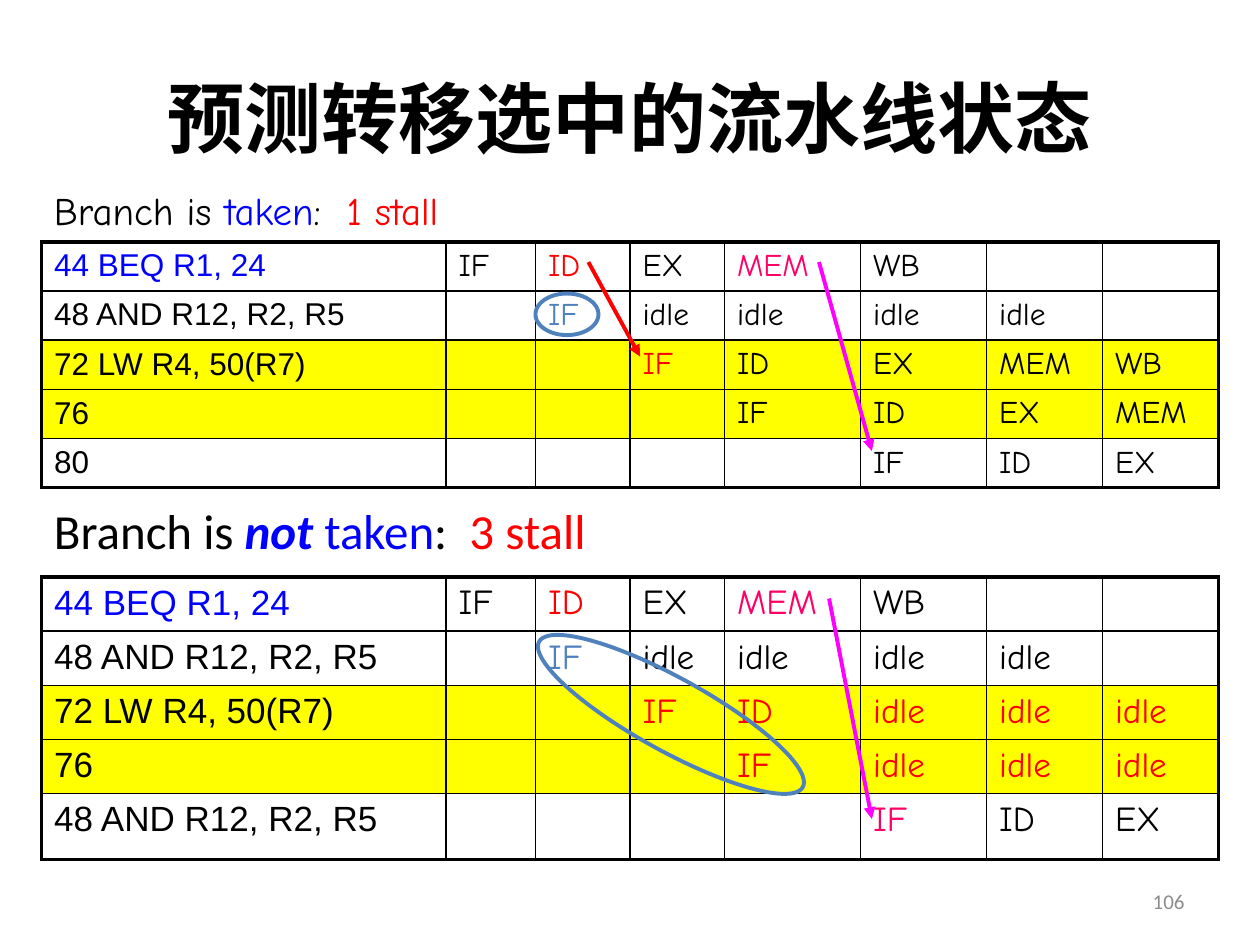
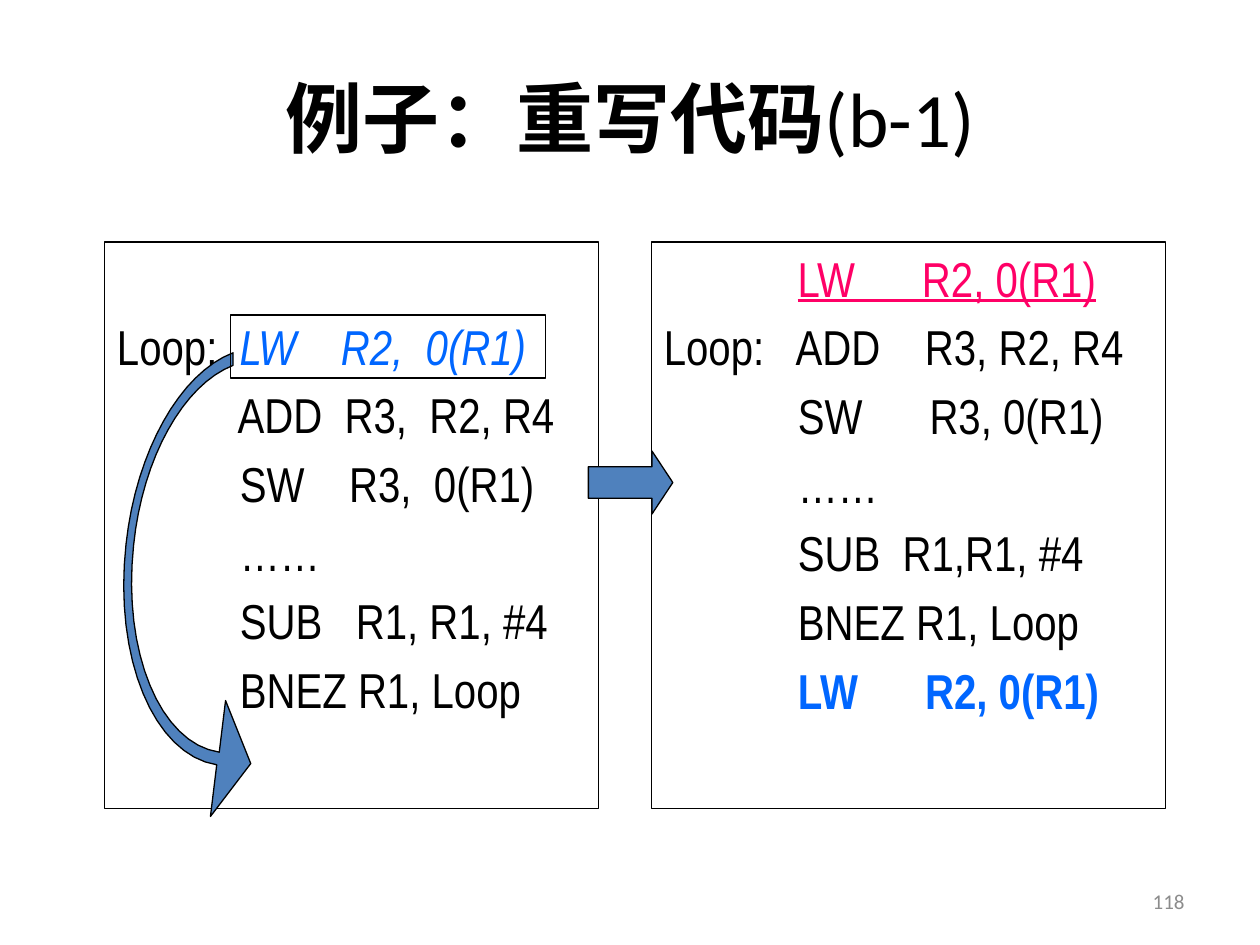
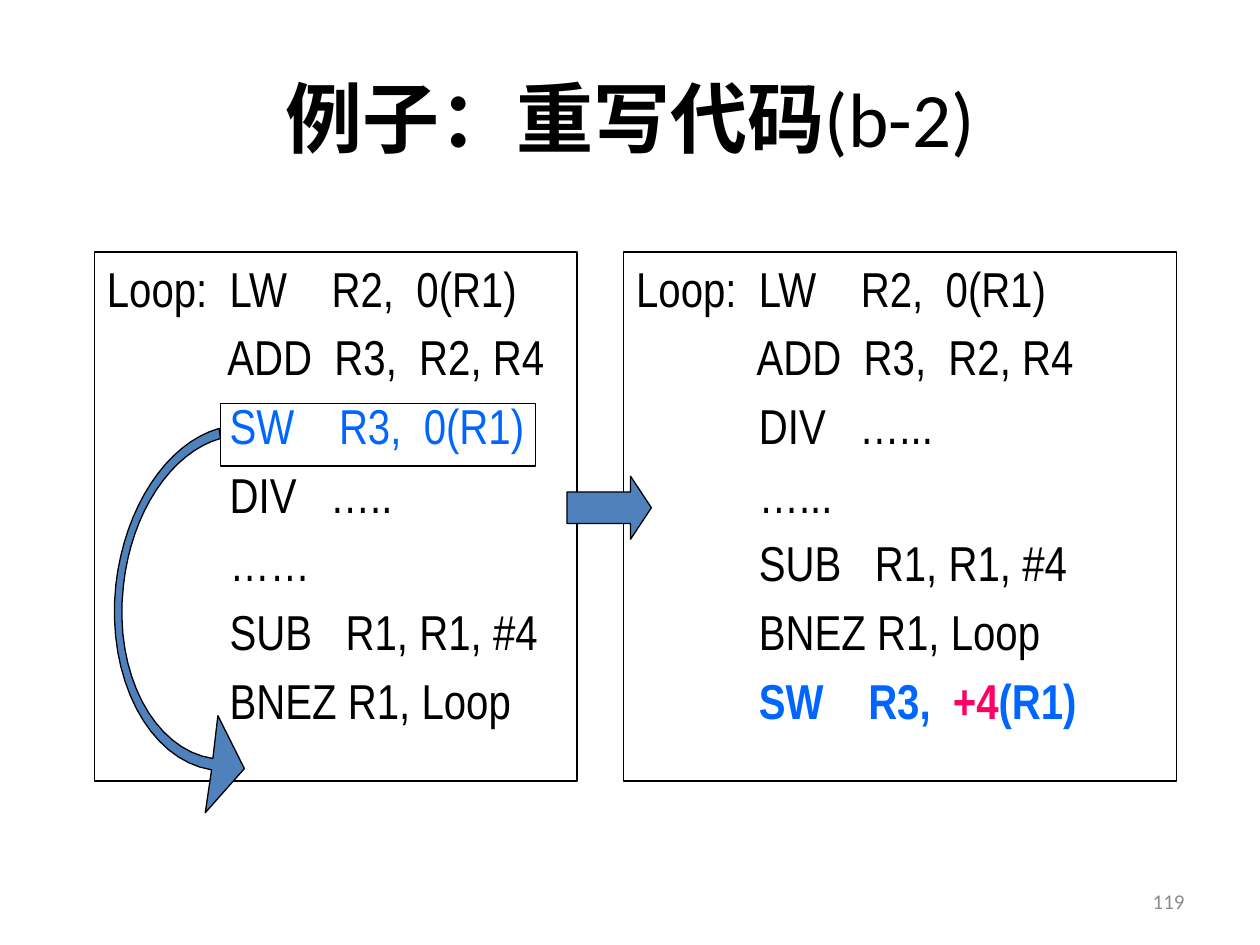
"""Build three slides on branch prediction and delay slot code."""
from dataclasses import dataclass
from lxml import etree
from pptx import Presentation
from pptx import util as u
from pptx.dml.color import RGBColor
from pptx.enum import shapes, text
from pptx.oxml.ns import qn


@dataclass(frozen=True)
class Theme:
    """Colours, fonts and type sizes."""
    black: str = "000000"
    blue: str = "0000FF"
    sky: str = "0066FF"
    steel: str = "4F81BD"
    red: str = "FF0000"
    rose: str = "FF0066"
    pink: str = "FF00FF"
    gold: str = "FFFF00"
    grey: str = "8C8C8C"
    main: str = "Calibri"
    sans: str = "Arial"
    slim: str = "Arial Narrow"
    hand: str = "Comic Neue"
    title: int = 44
    code: int = 28
    note: int = 12
    thin: float = 0.75
    grid: float = 1
    bold: float = 2.25


T = Theme()
SIZE = 10, 7.5
COLS = [3.21, 0.71, 0.75, 0.75, 1.08, 1, 0.92, 0.92]
LEFT = 0.33
WIDTH = 9.33

PIPES = [
    {"top": 1.92, "size": 18, "rows": [0.39] * 5, "data": [
        ("44 BEQ R1, 24", 1, ["IF", "ID:red", "EX", "MEM:rose", "WB"]),
        ("48 AND R12, R2, R5", 2, ["IF:steel"] + ["idle"] * 4),
        ("72 LW R4, 50(R7)", 3, ["IF:red", "ID", "EX", "MEM", "WB"]),
        ("76", 4, ["IF", "ID", "EX", "MEM"]),
        ("80", 5, ["IF", "ID", "EX"])]},
    {"top": 4.58, "size": 20, "rows": [0.43] * 4 + [0.52], "data": [
        ("44 BEQ R1, 24", 1, ["IF", "ID:red", "EX", "MEM:rose", "WB"]),
        ("48 AND R12, R2, R5", 2, ["IF:steel"] + ["idle"] * 4),
        ("72 LW R4, 50(R7)", 3, ["IF:red", "ID:red"] + ["idle:red"] * 3),
        ("76", 4, ["IF:red"] + ["idle:red"] * 3),
        ("48 AND R12, R2, R5", 5, ["IF:rose", "ID", "EX"])]},
]
HEADS = [
    ((LEFT, 1.5, WIDTH, 0.42), T.hand, 22.2, 0.8,
     [("Branch is ", "black", ""), ("taken", "blue", ""),
      (":  ", "black", ""), ("1 stall", "red", "")]),
    ((LEFT, 3.92, 6.25, 0.57), T.main, 28, 1,
     [("Branch is ", "black", ""), ("not ", "blue", "bi"),
      ("taken", "blue", ""), (":  ", "black", ""), ("3 stall", "red", "")]),
]
JUMPS = [
    ((4.67, 2.08), (5.08, 2.83), T.red),
    ((6.5, 2.08), (6.92, 3.58), T.pink),
    ((6.58, 4.75), (6.92, 6.5), T.pink),
]
RINGS = [((4.13, 5.38, 2.39, 0.58), 28.9), ((4.25, 2.33, 0.5, 0.33), 0)]

CODES = [
    {"title": "(b-1)", "page": 118, "arrow": (4.67, 3.58), "mark": (1.83, 2.5),
     "boxes": [
         ((0.83, 1.92, 3.92, 4.5), 1, [
             [("Loop:  ", "black", ""), ("LW    R2,  0(R1)", "sky", "i")],
             "           ADD  R3,  R2, R4",
             "           SW    R3,  0(R1)",
             "           ……",
             "           SUB   R1, R1, #4",
             "           BNEZ R1, Loop"]),
         ((5.17, 1.92, 4.08, 4.5), 0, [
             [("            ", "black", ""), ("LW      R2, 0(R1)", "rose", "u")],
             "Loop:   ADD    R3, R2, R4",
             "            SW      R3, 0(R1)",
             "            ……",
             "            SUB  R1,R1, #4",
             "            BNEZ R1, Loop",
             [("            LW      R2, 0(R1)", "sky", "b")]])],
     "bend": [
         [(1.74, 5.97), (1.27, 5.9), (0.97, 5.17), (1.06, 4.33)],
         [(1.06, 4.33), (1.13, 3.63), (1.46, 3.05), (1.85, 2.9)],
         [(1.85, 2.8), (1.43, 2.96), (1.08, 3.58), (1, 4.32)],
         [(1, 4.32), (0.9, 5.22), (1.22, 5.99), (1.72, 6.07)]],
     "tip": [(1.67, 6.48), (1.99, 6.06), (1.79, 5.56)]},
    {"title": "(b-2)", "page": 119, "arrow": (4.5, 3.78), "mark": (1.75, 3.2),
     "boxes": [
         ((0.75, 2, 3.83, 4.2), 0, [
             "Loop:  LW    R2,  0(R1)",
             "           ADD  R3,  R2, R4",
             [("           SW    R3,  0(R1)", "sky", "")],
             "           DIV   …..",
             "           ……",
             "           SUB   R1, R1, #4",
             "           BNEZ R1, Loop"]),
         ((4.95, 2, 4.39, 4.2), 0, [
             "Loop:  LW    R2,  0(R1)",
             "           ADD  R3,  R2, R4",
             "           DIV   …...",
             "           …...",
             "           SUB   R1, R1, #4",
             "           BNEZ R1, Loop",
             [("           SW    R3,  ", "sky", "b"), ("+4", "rose", "b"),
              ("(R1)", "sky", "b")]])],
     "bend": [
         [(1.69, 6.02), (1.22, 5.95), (0.9, 5.34), (0.98, 4.65)],
         [(0.98, 4.65), (1.04, 4.07), (1.36, 3.59), (1.75, 3.48)],
         [(1.74, 3.4), (1.32, 3.52), (0.99, 4.03), (0.92, 4.64)],
         [(0.92, 4.64), (0.84, 5.38), (1.18, 6.03), (1.68, 6.11)]],
     "tip": [(1.63, 6.45), (1.94, 6.1), (1.73, 5.68)]},
]


def inch(vals):
    """Turn numbers into lengths."""
    return [u.Inches(v) for v in vals]


def rgb(code):
    """Turn a hex code into a colour."""
    return RGBColor.from_string(code)


def write(par, runs, name, size):
    """Write runs of (text, colour, style) into a paragraph."""
    par.font.name, par.font.size = name, u.Pt(size)
    tints = {tint for _, tint, _ in runs}
    if len(tints) == 1:
        par.font.color.rgb = rgb(getattr(T, runs[0][1]))
    for words, tint, style in runs:
        run = par.add_run()
        run.text = words
        if len(tints) > 1:
            run.font.color.rgb = rgb(getattr(T, tint))
        for key, attr in zip("biu", ("bold", "italic", "underline")):
            if key in style:
                setattr(run.font, attr, True)


def note(slide, area, runs, name, size):
    """Add a wrapping text box and return its frame and paragraph."""
    frame = slide.shapes.add_textbox(*inch(area)).text_frame
    frame.word_wrap = True
    par = frame.paragraphs[0]
    write(par, runs, name, size)
    return frame, par


def paint(shape, fill=None, line=T.black, width=T.thin):
    """Set fill and outline of a shape."""
    shape.shadow.inherit = False
    if fill:
        shape.fill.solid()
        shape.fill.fore_color.rgb = rgb(fill)
    else:
        shape.fill.background()
    shape.line.color.rgb = rgb(line)
    shape.line.width = u.Pt(width)
    return shape


def start(deck, runs, page):
    """Add a slide with its title and page number."""
    slide = deck.slides.add_slide(deck.slide_layouts[5])
    title = slide.shapes.title
    title.left, title.top, title.width, title.height = inch((0.5, 0.3, 9, 1.25))
    par = title.text_frame.paragraphs[0]
    par.alignment = text.PP_ALIGN.CENTER
    write(par, runs, T.main, T.title)
    frame, par = note(slide, (7.17, 6.95, 2.33, 0.4),
                      [(str(page), "grey", "")], T.main, T.note)
    frame.vertical_anchor = text.MSO_ANCHOR.MIDDLE
    par.alignment = text.PP_ALIGN.RIGHT
    return slide


def edge(cell, sides):
    """Draw cell borders; sides maps a tag to a width in points."""
    props = cell._tc.get_or_add_tcPr()
    for spot, (tag, width) in enumerate(sides.items()):
        line = etree.Element(qn("a:" + tag), w=str(u.Pt(width)))
        fill = etree.SubElement(line, qn("a:solidFill"))
        etree.SubElement(fill, qn("a:srgbClr"), val=T.black)
        props.insert(spot, line)


def pipe(slide, top, size, rows, data):
    """Add a pipeline table, each row starting at its own cycle."""
    area = inch((LEFT, top, WIDTH, sum(rows)))
    table = slide.shapes.add_table(len(rows), len(COLS), *area).table
    table.first_row = table.horz_banding = False
    for col, wide in zip(table.columns, COLS):
        col.width = u.Inches(wide)
    for r, (label, first, steps) in enumerate(data):
        table.rows[r].height = u.Inches(rows[r])
        words = [label + (":blue" if r == 0 else "")] + [""] * (first - 1) + steps
        words += [""] * (len(COLS) - len(words))
        for c, word in enumerate(words):
            cell = table.cell(r, c)
            cell.margin_bottom = u.Inches(0.02)
            if r in (2, 3):
                cell.fill.solid()
                cell.fill.fore_color.rgb = rgb(T.gold)
            else:
                cell.fill.background()
            outer = {"lnL": c == 0, "lnR": c == len(COLS) - 1,
                     "lnT": r == 0, "lnB": r == len(rows) - 1}
            edge(cell, {k: T.bold if v else T.grid for k, v in outer.items()})
            name, _, tint = word.partition(":")
            par = cell.text_frame.paragraphs[0]
            if name:
                write(par, [(name, tint or "black", "")],
                      T.hand if c else T.sans, size)
            else:
                par.font.size = u.Pt(size)


def jump(slide, head, tail, tint):
    """Draw an arrow between two points."""
    line = slide.shapes.add_connector(
        shapes.MSO_CONNECTOR.STRAIGHT, *inch(head + tail))
    line.line.color.rgb = rgb(tint)
    line.line.width = u.Pt(T.bold)
    etree.SubElement(line.line._get_or_add_ln(), qn("a:tailEnd"), type="triangle")
    etree.SubElement(line._element.spPr, qn("a:effectLst"))


def curve(ends, steps=16):
    """Sample a cubic curve."""
    for n in range(steps + 1):
        t = n / steps
        parts = (1 - t) ** 3, 3 * t * (1 - t) ** 2, 3 * t * t * (1 - t), t ** 3
        yield tuple(sum(w * p[k] for w, p in zip(parts, ends)) for k in (0, 1))


def loop(slide, bend, tip):
    """Draw the bent arrow from its curves and its tip."""
    dots = [inch(dot) for part in bend for dot in curve(part)]
    dots += [inch(dot) for dot in tip]
    pen = slide.shapes.build_freeform(*dots[0])
    pen.add_line_segments(dots[1:], close=True)
    paint(pen.convert_to_shape(), T.steel)


def listing(slide, area, skip, lines):
    """Add a framed code box, its first line lowered by skip rows."""
    box = slide.shapes.add_shape(shapes.MSO_SHAPE.RECTANGLE, *inch(area))
    frame = paint(box).text_frame
    frame.word_wrap = True
    frame.vertical_anchor = text.MSO_ANCHOR.TOP
    frame.margin_top = u.Inches(0.05 + 0.54 * skip)
    for n, line in enumerate(lines):
        par = frame.add_paragraph() if n else frame.paragraphs[0]
        par.alignment = text.PP_ALIGN.LEFT
        if n:
            par.space_before = u.Pt(T.code * 0.2)
        runs = [(line, "black", "")] if isinstance(line, str) else line
        write(par, runs, T.slim, T.code)


def main():
    """Build and save the deck."""
    deck = Presentation()
    deck.slide_width, deck.slide_height = inch(SIZE)
    slide = start(deck, [("预测转移选中的流水线状态", "black", "b")], 106)
    for data in PIPES:
        pipe(slide, **data)
    for area, name, size, gap, runs in HEADS:
        note(slide, area, runs, name, size)[1].line_spacing = gap
    for head, tail, tint in JUMPS:
        jump(slide, head, tail, tint)
    for area, turn in RINGS:
        ring = slide.shapes.add_shape(shapes.MSO_SHAPE.OVAL, *inch(area))
        paint(ring, None, T.steel, T.bold).rotation = turn
    for code in CODES:
        slide = start(deck, [("例子：重写代码", "black", "b"),
                             (code["title"], "black", "")], code["page"])
        for box in code["boxes"]:
            listing(slide, *box)
        arrow = slide.shapes.add_shape(
            shapes.MSO_SHAPE.RIGHT_ARROW, *inch(code["arrow"] + (0.67, 0.5)))
        paint(arrow, T.steel).adjustments[1] = 0.33
        loop(slide, code["bend"], code["tip"])
        paint(slide.shapes.add_shape(
            shapes.MSO_SHAPE.RECTANGLE, *inch(code["mark"] + (2.5, 0.5))))
    deck.save("out.pptx")


if __name__ == "__main__":
    main()
